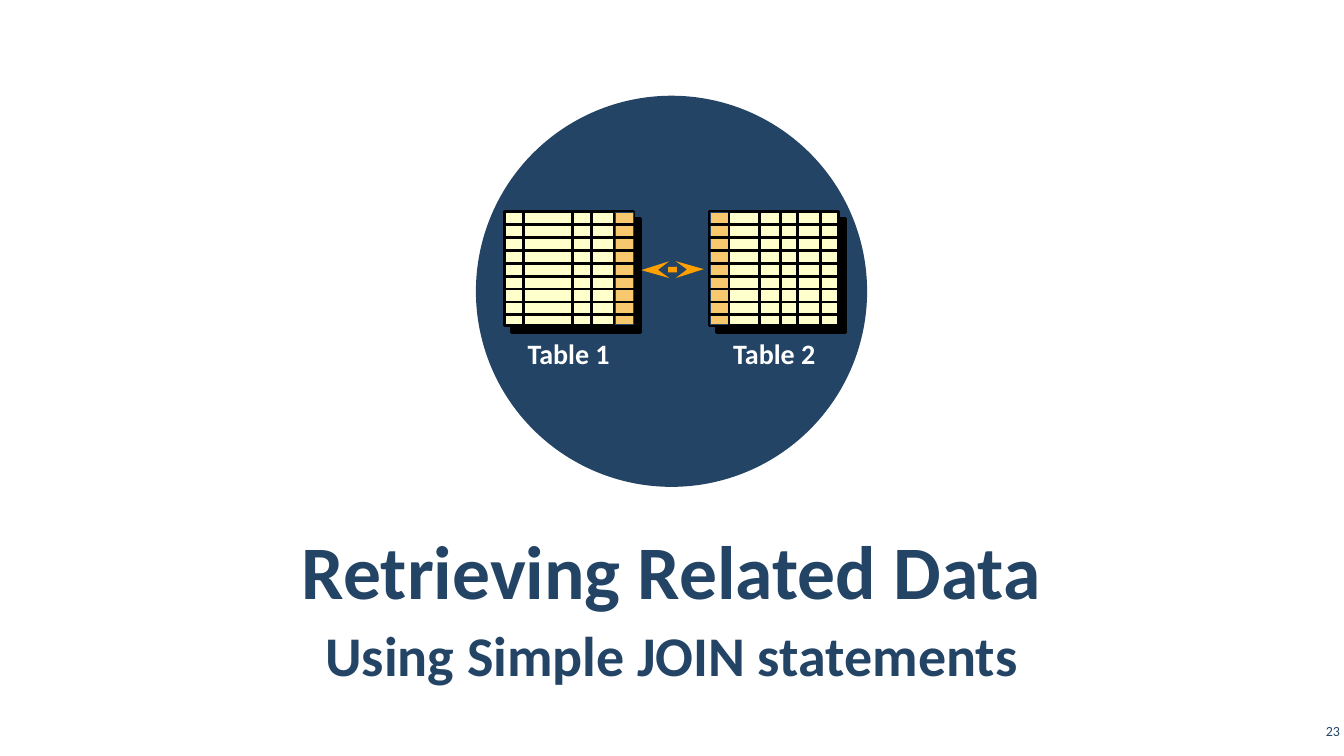
from lxml import etree
from pptx import Presentation
from pptx.dml.color import RGBColor
from pptx.enum.shapes import MSO_CONNECTOR, MSO_SHAPE
from pptx.enum.text import MSO_ANCHOR, MSO_AUTO_SIZE, PP_ALIGN
from pptx.oxml.ns import qn
from pptx.util import Inches, Pt

OVAL, RECT = MSO_SHAPE.OVAL, MSO_SHAPE.RECTANGLE
LINE = MSO_CONNECTOR.STRAIGHT
MID, TOP = MSO_ANCHOR.MIDDLE, MSO_ANCHOR.TOP
CENTER, RIGHT = PP_ALIGN.CENTER, PP_ALIGN.RIGHT
FIXED = MSO_AUTO_SIZE.NONE

FONT = "Calibri"
COLORS = {
    "navy": "234465",
    "white": "FFFFFF",
    "black": "000000",
    "cream": "FFFFCC",
    "key": "F7C86D",
    "amber": "FFA000",
}
WIDE, HIGH = 1.28, 1.13  # size of a table icon
ROWS, STEP = 9, 0.128


def color(name):
    return RGBColor.from_string(COLORS[name])


def place(shape, left, top, width, height):
    shape.left, shape.top = Inches(left), Inches(top)
    shape.width, shape.height = Inches(width), Inches(height)


def add_form(shapes, kind, box, fill, line=None, weight=1):
    form = shapes.add_shape(kind, *map(Inches, box))
    form.shadow.inherit = False
    form.fill.solid()
    form.fill.fore_color.rgb = color(fill)
    if line:
        form.line.color.rgb = color(line)
        form.line.width = Pt(weight)
    else:
        form.line.fill.background()
    return form


def add_line(shapes, start, end, tint, weight):
    line = shapes.add_connector(LINE, *map(Inches, start + end))
    line.line.color.rgb = color(tint)
    line.line.width = Pt(weight)
    etree.SubElement(line._element.spPr, qn("a:effectLst"))
    return line


def cast_shadow(form):
    """Give the form a hard black shadow, down and to the right."""
    effects = form._element.spPr.find(qn("a:effectLst"))
    shade = etree.SubElement(effects, qn("a:outerShdw"), blurRad="0",
                             dist=str(Pt(7.1)), dir="2700000",
                             algn="ctr", rotWithShape="0")
    etree.SubElement(shade, qn("a:srgbClr"), val=COLORS["black"])


def add_heads(line):
    """Put a stealth arrowhead on both ends."""
    stroke = line.line._get_or_add_ln()
    for end in ("a:headEnd", "a:tailEnd"):
        etree.SubElement(stroke, qn(end), type="stealth", w="med", len="lg")


def set_text(shape, text, size, tint, bold=True, align=CENTER,
             anchor=MID, inset=(0.1, 0.05)):
    frame = shape.text_frame
    frame.word_wrap = True
    frame.auto_size = FIXED
    frame.vertical_anchor = anchor
    frame.margin_left = frame.margin_right = Inches(inset[0])
    frame.margin_top = frame.margin_bottom = Inches(inset[1])
    frame.text = text
    para = frame.paragraphs[0]
    para.alignment = align
    font = para.font
    font.name, font.size, font.bold = FONT, Pt(size), bold
    font.color.rgb = color(tint)
    return para


def add_text(shapes, box, *args, **style):
    return set_text(shapes.add_textbox(*map(Inches, box)), *args, **style)


def set_head(para):
    para.line_spacing = 1.05
    para.space_before = para.space_after = Pt(6)


def add_grid(slide, left, top, key, cols, label):
    """Draw a table icon; key and cols are offsets from its left edge."""
    shapes = slide.shapes.add_group_shape().shapes
    base = add_form(shapes, RECT, (left, top, WIDE, HIGH),
                    "cream", "black", 2)
    cast_shadow(base)
    add_form(shapes, RECT, (left + key, top + 0.01, 0.18, HIGH - 0.02),
             "key", "navy", 0.75)
    for row in range(1, ROWS):
        y = top + row * STEP
        add_line(shapes, (left, y), (left + WIDE + 0.01, y), "black", 2)
    for col in cols:
        x = left + col
        add_line(shapes, (x, top - 0.01), (x, top + HIGH + 0.01), "black", 2)
    add_text(shapes, (left, top + 1.19, WIDE, 0.44), label, 20, "white",
             anchor=TOP)


def main():
    deck = Presentation()
    deck.slide_width, deck.slide_height = Inches(13.33), Inches(7.5)
    slide = deck.slides.add_slide(deck.slide_layouts[5])
    shapes = slide.shapes

    # Disc behind the icons
    add_form(shapes, OVAL, (4.72, 0.95, 3.88, 3.88), "navy")

    # Title and subtitle
    title = shapes.title
    place(title, 0.67, 5.2, 11.98, 0.84)
    inset = (0.12, 0.04)
    set_head(set_text(title, "Retrieving Related Data", 54, "navy",
                      inset=inset))
    set_head(add_text(shapes, (0.67, 6.05, 11.98, 0.84),
                      "Using Simple JOIN statements", 40, "navy",
                      inset=inset))

    # Two tables joined by their key columns
    add_grid(slide, 5, 2.1, 1.1, (0.19, 0.68, 0.87, 1.09), "Table 1")
    add_grid(slide, 7.04, 2.1, 0.01, (0.19, 0.49, 0.7, 0.87, 1.1), "Table 2")
    add_heads(add_line(shapes, (6.36, 2.68), (6.98, 2.67), "amber", 4))

    # Slide number
    add_text(shapes, (12.86, 7.14, 0.47, 0.22), "23", 10, "navy",
             bold=False, align=RIGHT, inset=(0.04, 0.04))

    deck.save("out.pptx")


if __name__ == "__main__":
    main()
